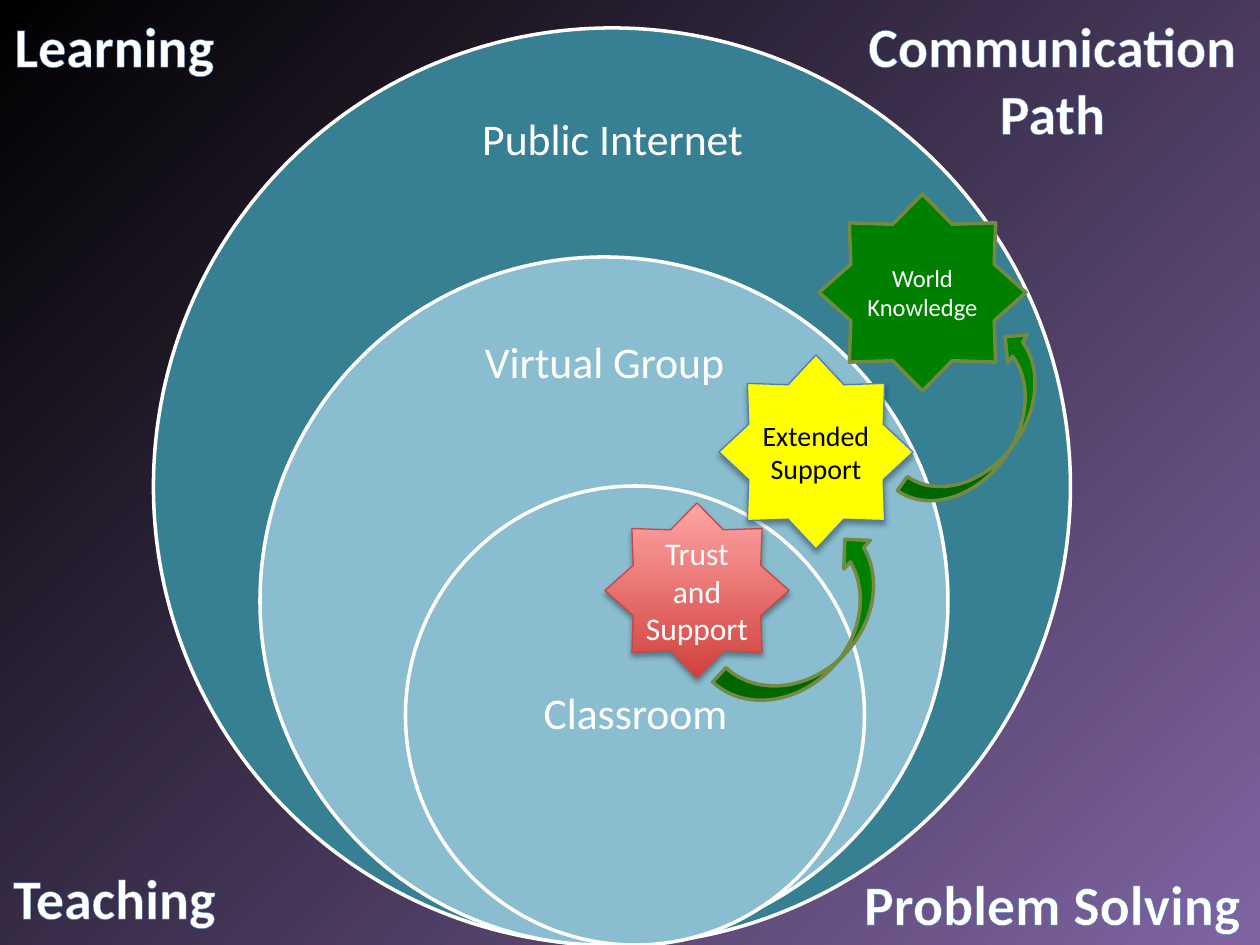
from lxml.etree import fromstring
from pptx import Presentation
from pptx.dml.color import RGBColor
from pptx.enum.shapes import MSO_SHAPE as SHAPE
from pptx.enum.text import MSO_ANCHOR as ANCHOR, MSO_AUTO_SIZE as AUTO, PP_ALIGN as ALIGN
from pptx.oxml.ns import nsdecls
from pptx.util import Pt

PX = 914400 / 126
W, H = 1260, 945
WHITE, GREEN, OLIVE = "FFFFFF", "008000", "738A42"

# text, centre x, diameter, fill, label box
CIRCLES = [
    ("Public Internet", 612, 917, "377F92", (452, 73, 321, 137)),
    ("Virtual Group", 604, 688, "8ABDCF", (444, 300, 321, 129)),
    ("Classroom", 635, 459, "8ABDCF", (473, 601, 325, 229)),
]
# text, box, fill (one colour or a gradient), line, line width, text colour, size, shadow
STARS = [
    ("Trust and Support", (605, 503, 184, 175), ("D1403C", "FFA6A5"), "BF4C48", 0.75, WHITE, 18, True),
    ("Extended Support", (719, 355, 194, 194), ("FFFF00",), "4B7EBC", 0.75, "000000", 16, True),
    ("World Knowledge", (819, 194, 207, 197), (GREEN,), OLIVE, 2, WHITE, 14, False),
]
ARROWS = [((707, 591, 214, 78), 312.8), ((882, 392, 205, 69), 305)]
LEFT, RIGHT, CAPTION_W = -93, 845, 415
CAPTIONS = [
    ("Communication Path", RIGHT, 5, 149),
    ("Teaching", LEFT, 857, 80),
    ("Problem Solving", RIGHT, 863, 80),
    ("Learning", LEFT, 5, 80),
]

BACKGROUND = f"""<p:bg {nsdecls('p', 'a')}><p:bgPr><a:gradFill rotWithShape="1"><a:gsLst>
<a:gs pos="0"><a:srgbClr val="8064A2"/></a:gs><a:gs pos="100000"><a:srgbClr val="000000"/></a:gs>
</a:gsLst><a:path path="circle"><a:fillToRect l="100000" t="100000"/></a:path></a:gradFill>
<a:effectLst/></p:bgPr></p:bg>"""
SHADOW = f"""<a:outerShdw {nsdecls('a')} blurRad="39370" dist="22860" dir="5400000" rotWithShape="0">
<a:srgbClr val="000000"><a:alpha val="35000"/></a:srgbClr></a:outerShdw>"""
OUTLINE = f"""<a:ln {nsdecls('a')} w="10541"><a:solidFill><a:srgbClr val="467AB8"/></a:solidFill></a:ln>"""


def rgb(value):
    return RGBColor.from_string(value)


def emu(box):
    return [round(v * PX) for v in box]


def add_shape(slide, kind, box, fill, line, width):
    s = slide.shapes.add_shape(kind, *emu(box))
    s.shadow.inherit = False
    if len(fill) == 2:
        s.fill.gradient()
        s.fill.gradient_angle = 90
        for stop, color, pos in zip(s.fill.gradient_stops, fill, (0, 1)):
            stop.color.rgb = rgb(color)
            stop.position = pos
    else:
        s.fill.solid()
        s.fill.fore_color.rgb = rgb(fill[0])
    s.line.color.rgb = rgb(line)
    s.line.width = Pt(width)
    return s


def write(shape, text, size, color, bold=False):
    tf = shape.text_frame
    tf.word_wrap = True
    p = tf.paragraphs[0]
    p.alignment = ALIGN.CENTER
    p.font.name, p.font.size, p.font.bold = "Calibri", Pt(size), bold
    p.font.color.rgb = rgb(color)
    r = p.add_run()
    r.text = text
    return tf, p, r


def main():
    """Build the slide of nested support circles."""
    prs = Presentation()
    prs.slide_width, prs.slide_height = emu((W, H))
    slide = prs.slides.add_slide(prs.slide_layouts[6])
    slide.element.cSld.insert(0, fromstring(BACKGROUND))

    for text, cx, d, fill, box in CIRCLES:
        add_shape(slide, SHAPE.OVAL, (cx - d / 2, H - d, d, d), (fill,), WHITE, 2)
        tf, p, r = write(slide.shapes.add_textbox(*emu(box)), text, 25, WHITE)
        tf.vertical_anchor = ANCHOR.MIDDLE
        tf.margin_left = tf.margin_right = tf.margin_top = tf.margin_bottom = round(24 * PX)
        p.line_spacing = 0.9

    for text, box, fill, line, width, color, size, shadow in STARS:
        s = add_shape(slide, SHAPE.STAR_8_POINT, box, fill, line, width)
        write(s, text, size, color)
        if shadow:
            s.element.spPr.find(".//{*}effectLst").append(fromstring(SHADOW))

    for box, angle in ARROWS:
        add_shape(slide, SHAPE.CURVED_UP_ARROW, box, (GREEN,), OLIVE, 2).rotation = angle

    for text, x, y, h in CAPTIONS:
        s = slide.shapes.add_textbox(*emu((x, y, CAPTION_W, h)))
        tf, p, r = write(s, text, 32, WHITE, True)
        tf.auto_size = AUTO.SHAPE_TO_FIT_TEXT
        r.font.bold = True
        r.font._element.insert(0, fromstring(OUTLINE))

    prs.save("out.pptx")


if __name__ == "__main__":
    main()
